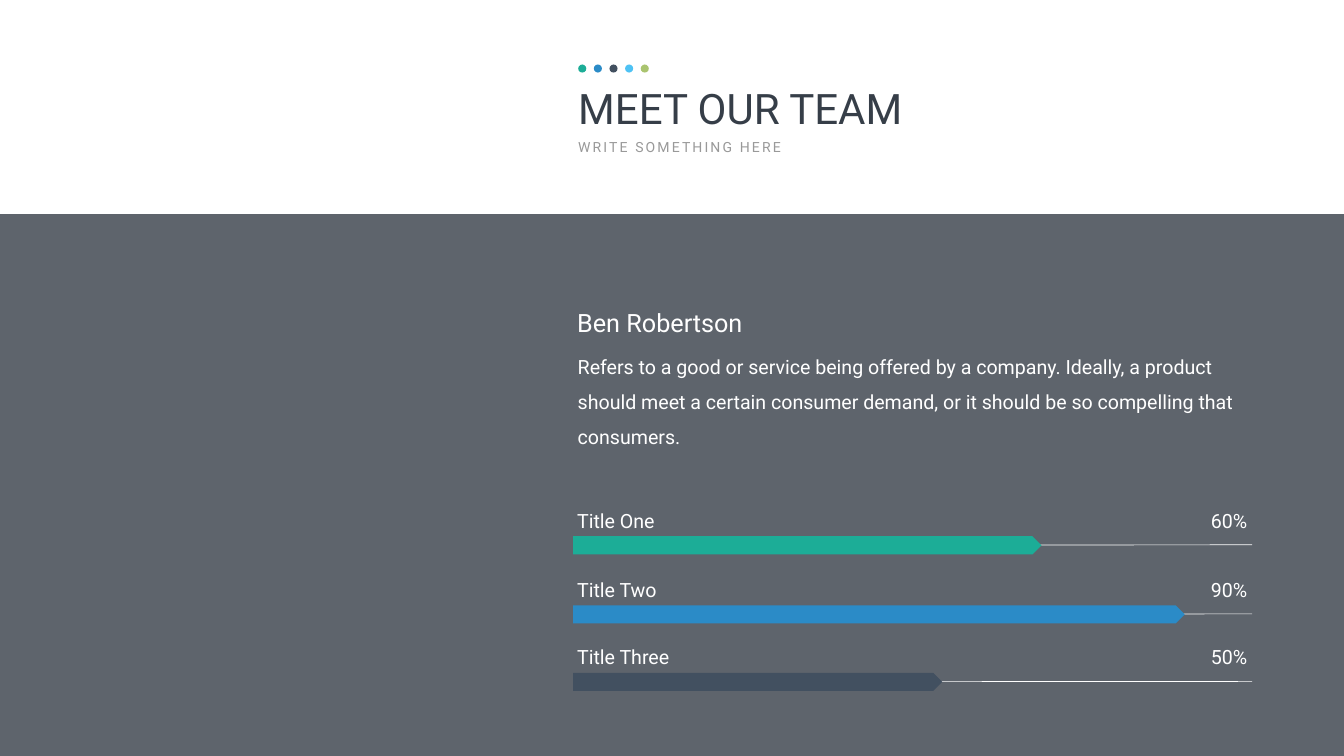
from dataclasses import dataclass

import pptx
import pptx.dml.color
import pptx.enum.shapes
import pptx.enum.text
import pptx.oxml.ns
import pptx.oxml.xmlchemy
import pptx.util

Inches = pptx.util.Inches
Pt = pptx.util.Pt
Kind = pptx.enum.shapes.MSO_SHAPE
Align = pptx.enum.text.PP_ALIGN
RGB = pptx.dml.color.RGBColor
Node = pptx.oxml.xmlchemy.OxmlElement

HUES = {
    "white": "FFFFFF", "ink": "363E48", "grey": "999999", "teal": "1CAD97",
    "blue": "2B8BC7", "slate": "425060", "sky": "4EC2F4", "lime": "AAC46F",
}
LEFT, RIGHT = 11.37, 24.84
TEXT = 11.35


@dataclass
class Box:
    x: float
    y: float
    w: float
    h: float


@dataclass
class Skill:
    name: str
    rate: str
    hue: str
    y: float  # top of the bar
    w: float  # length of the bar


SKILLS = [
    Skill("Title One", "60%", "teal", 10.64, 9.29),
    Skill("Title Two", "90%", "blue", 12.01, 12.13),
    Skill("Title Three", "50%", "slate", 13.35, 7.32),
]
DOTS = ["teal", "blue", "slate", "sky", "lime"]


def shade(hue: str) -> RGB:
    return RGB.from_string(HUES[hue])


def apply(item, form: dict) -> None:
    for key, value in form.items():
        setattr(item, key, value)


def place(box: Box) -> dict:
    return {"left": Inches(box.x), "top": Inches(box.y),
            "width": Inches(box.w), "height": Inches(box.h)}


def write(shape, words: str, size: float, hue: str = "white",
          wrap: bool = True, pad: tuple = (0.1, 0.05), **para):
    frame = shape.text_frame
    frame.text = words
    apply(frame, {
        "word_wrap": wrap,
        "auto_size": pptx.enum.text.MSO_AUTO_SIZE.SHAPE_TO_FIT_TEXT,
        "vertical_anchor": pptx.enum.text.MSO_ANCHOR.TOP,
        "margin_left": Inches(pad[0]), "margin_right": Inches(pad[0]),
        "margin_top": Inches(pad[1]), "margin_bottom": Inches(pad[1]),
    })
    line = frame.paragraphs[0]
    apply(line, {"alignment": Align.LEFT, **para})
    run = line.runs[0]
    apply(run.font, {"name": "Roboto", "size": Pt(size)})
    run.font.color.rgb = shade(hue)
    return run


def label(slide, box: Box, words: str, size: float, **form):
    return write(slide.shapes.add_textbox(**place(box)), words, size, **form)


def block(slide, kind: Kind, box: Box, hue: str):
    shape = slide.shapes.add_shape(kind, **place(box))
    shape.shadow.inherit = False
    shape.fill.solid()
    shape.fill.fore_color.rgb = shade(hue)
    shape.line.fill.background()
    return shape


def track(slide, y: float) -> None:
    line = slide.shapes.add_connector(
        pptx.enum.shapes.MSO_CONNECTOR.STRAIGHT,
        Inches(LEFT), Inches(y), Inches(RIGHT), Inches(y - 0.01))
    line.line.color.rgb = shade("white")
    line.line.width = Pt(1)
    line._element.spPr.append(Node("a:effectLst"))


def meter(slide, skill: Skill) -> None:
    top = skill.y - 0.6
    track(slide, skill.y + 0.18)
    label(slide, Box(TEXT, top, 3.66, 0.57), skill.name, 28)
    label(slide, Box(RIGHT - 1.35, top, 1.35, 0.57), skill.rate, 28,
          alignment=Align.RIGHT)
    block(slide, Kind.PENTAGON, Box(LEFT, skill.y, skill.w, 0.36), skill.hue)


def main() -> None:
    deck = pptx.Presentation()
    apply(deck, {"slide_width": Inches(26.66), "slide_height": Inches(15)})
    slide = deck.slides.add_slide(deck.slide_layouts[5])

    # Translucent panel
    panel = block(slide, Kind.RECTANGLE, Box(0, 4.25, 26.66, 10.75), "ink")
    alpha = Node("a:alpha")
    alpha.set("val", "80000")
    tint = panel._element.spPr.find(".//" + pptx.oxml.ns.qn("a:srgbClr"))
    tint.append(alpha)

    # Heading
    title = slide.shapes.title
    apply(title, place(Box(LEFT, 1.59, 8.34, 1.11)))
    write(title, "MEET OUR TEAM", 60, "ink")
    run = label(slide, Box(LEFT, 2.7, 4.35, 0.44), "WRITE SOMETHING HERE", 20,
                hue="grey", wrap=False)
    run._r.get_or_add_rPr().set("spc", "300")
    for i, hue in enumerate(DOTS):
        block(slide, Kind.OVAL, Box(11.47 + 0.31 * i, 1.28, 0.16, 0.16), hue)

    # Profile
    label(slide, Box(TEXT, 6.04, 3.57, 0.71), "Ben Robertson", 36, wrap=False)
    label(slide, Box(11.22, 6.68, 14.24, 1.57),
          "Refers to a good or service being offered by a company. Ideally, "
          "a product should meet a certain consumer demand, or it should be "
          "so compelling that consumers.", 28, pad=(0.24, 0.12),
          line_spacing=1.5)

    # Skill meters
    for skill in SKILLS:
        meter(slide, skill)

    deck.save("out.pptx")


if __name__ == "__main__":
    main()
